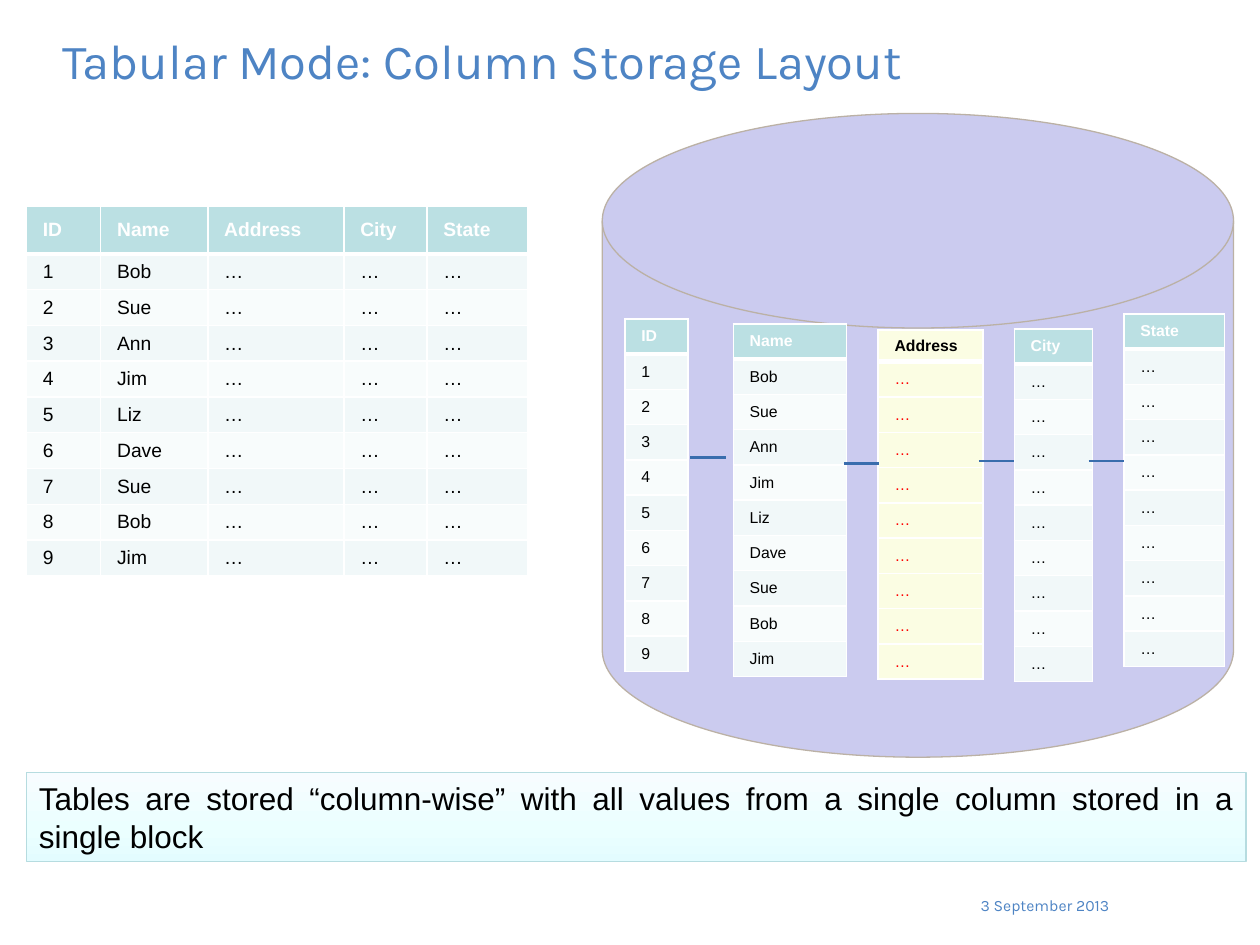
from copy import deepcopy
from dataclasses import dataclass

from lxml import etree
from pptx import Presentation
from pptx import util as u
from pptx.dml.color import RGBColor
from pptx.enum import shapes, text
from pptx.oxml import ns

Pt = u.Pt
HEAD, ODD, EVEN = "BBE0E3", "F1F8F9", "F8FCFC"
CREAM, WHITE, BLACK, RED = "FBFDE3", "FFFFFF", "000000", "FF0000"
BLUE = "4E84C4"

FIELDS = ["ID", "Name", "Address", "City", "State"]
NAMES = ["Bob", "Sue", "Ann", "Jim", "Liz", "Dave", "Sue", "Bob", "Jim"]
ROWS = [FIELDS] + [[str(n), name, "…", "…", "…"]
                   for n, name in enumerate(NAMES, 1)]


@dataclass(frozen=True)
class Theme:
    head: str = HEAD
    title: str = WHITE
    bands: tuple[str, str] = (ODD, EVEN)
    ink: str = BLACK


@dataclass
class Grid:
    left: float
    top: float
    widths: list[float]
    rows: list[list[str]]
    first: float = 20.16
    rest: float = 20.16
    size: float = 9
    theme: Theme = Theme()


@dataclass
class Link:
    left: float
    top: float
    width: float = 20.16


def color(code: str) -> RGBColor:
    return RGBColor.from_string(code)


def add_run(para, words: str, size: float, ink: str,
            font: str = "Arial", bold: bool = False) -> None:
    run = para.add_run()
    run.text = words
    run.font.size = Pt(size)
    run.font.name = font
    run.font.bold = bold
    run.font.color.rgb = color(ink)


def set_edges(cell, top: float, base: float) -> None:
    """White cell borders; they must come before the cell's fill."""
    props = cell._tc.get_or_add_tcPr()
    edges = [("L", 1), ("R", 1), ("T", top), ("B", base)]
    for spot, (side, width) in enumerate(edges):
        line = etree.Element(ns.qn(f"a:ln{side}"), w=str(int(Pt(width))))
        fill = etree.SubElement(line, ns.qn("a:solidFill"))
        etree.SubElement(fill, ns.qn("a:srgbClr"), val=WHITE)
        props.insert(spot, line)


def draw_grid(slide, grid: Grid) -> None:
    count = len(grid.rows)
    high = grid.first + grid.rest * (count - 1)
    table = slide.shapes.add_table(
        count, len(grid.widths), Pt(grid.left), Pt(grid.top),
        Pt(sum(grid.widths)), Pt(high)).table
    table.horz_banding = False
    for col, width in zip(table.columns, grid.widths):
        col.width = Pt(width)
    theme = grid.theme
    for r, values in enumerate(grid.rows):
        top = r == 0
        table.rows[r].height = Pt(grid.first if top else grid.rest)
        for c, value in enumerate(values):
            cell = table.cell(r, c)
            cell.margin_left = cell.margin_right = Pt(9.36)
            cell.margin_top = cell.margin_bottom = Pt(3.6)
            cell.vertical_anchor = text.MSO_ANCHOR.MIDDLE
            cell.fill.solid()
            cell.fill.fore_color.rgb = color(
                theme.head if top else theme.bands[(r - 1) % 2])
            set_edges(cell, 3 if r == 1 else 1, 3 if top else 1)
            add_run(cell.text_frame.paragraphs[0], value, grid.size,
                    theme.title if top else theme.ink, bold=top)


def draw_link(slide, link: Link) -> None:
    line = slide.shapes.add_connector(
        shapes.MSO_CONNECTOR.STRAIGHT, Pt(link.left), Pt(link.top),
        Pt(link.left + link.width), Pt(link.top))
    line.line.color.rgb = color("396DAD")
    line.line.width = Pt(1.5)
    etree.SubElement(line._element.spPr, ns.qn("a:effectLst"))


def add_label(slide, box: tuple, words: str, size: float, align) -> None:
    frame = slide.shapes.add_textbox(*map(Pt, box)).text_frame
    frame.word_wrap = True
    para = frame.paragraphs[0]
    para.alignment = align
    add_run(para, words, size, BLUE, "Karla")


def add_shape(slide, kind, box: tuple, edge: str):
    shape = slide.shapes.add_shape(kind, *map(Pt, box))
    shape.shadow.inherit = False
    shape.line.color.rgb = color(edge)
    shape.line.width = Pt(0.75)
    return shape


def draw_note(slide) -> None:
    note = add_shape(slide, shapes.MSO_SHAPE.RECTANGLE,
                     (15.12, 441.36, 696.96, 51.12), "B6DCE0")
    note.fill.gradient()
    note.fill.gradient_angle = 90
    stops = note._element.spPr.find(".//" + ns.qn("a:gsLst"))
    stops.append(deepcopy(stops[0]))
    tints = [(0, "E3FCFF"), (0.35, "EBFFFF"), (1, "F7FCFF")]
    for stop, (place, tint) in zip(note.fill.gradient_stops, tints):
        stop.position = place
        stop.color.rgb = color(tint)
    note.text_frame.word_wrap = True
    para = note.text_frame.paragraphs[0]
    para.alignment = text.PP_ALIGN.JUSTIFY
    add_run(para, "Tables are stored “column-wise” with all values from a "
            "single column stored in a single block", 18, BLACK)


def main() -> None:
    deck = Presentation()
    deck.slide_width, deck.slide_height = Pt(720), Pt(540)
    slide = deck.slides.add_slide(deck.slide_layouts[6])

    # Date and title
    add_label(slide, (529.2, 508.32, 111.6, 25.2), "3 September 2013", 9,
              text.PP_ALIGN.RIGHT)
    add_label(slide, (28.8, 13.68, 541.44, 41.04),
              "Tabular Mode: Column Storage Layout", 28, text.PP_ALIGN.LEFT)

    # Storage cylinder
    disk = add_shape(slide, shapes.MSO_SHAPE.FLOWCHART_MAGNETIC_DISK,
                     (344.16, 64.8, 360.72, 367.92), "BBB1A5")
    disk.fill.solid()
    disk.fill.fore_color.rgb = color("CBCBEF")

    # One table per stored column
    plain = Theme()
    marked = Theme(CREAM, BLACK, (CREAM, CREAM), RED)
    blocks = [(357.12, 182.16, 36, 20.16, plain),
              (419.04, 185.04, 64.8, 20.16, plain),
              (501.84, 188.64, 59.76, 18, marked),
              (579.6, 187.92, 44.64, 20.16, plain),
              (642.24, 179.28, 57.6, 20.16, plain)]
    for (left, top, width, first, theme), values in zip(blocks, zip(*ROWS)):
        draw_grid(slide, Grid(left, top, [width], [[v] for v in values],
                              first, theme=theme))

    # Full table
    draw_grid(slide, Grid(15.12, 118.08, [42.48, 61.2, 77.76, 47.52, 57.6],
                          ROWS, 27, 20.34, 11))

    # Links between the columns
    for link in (Link(394.56, 261.36), Link(482.4, 264.96),
                 Link(559.44, 263.52), Link(622.08, 263.52)):
        draw_link(slide, link)

    # Summary
    draw_note(slide)
    deck.save("out.pptx")


if __name__ == "__main__":
    main()
